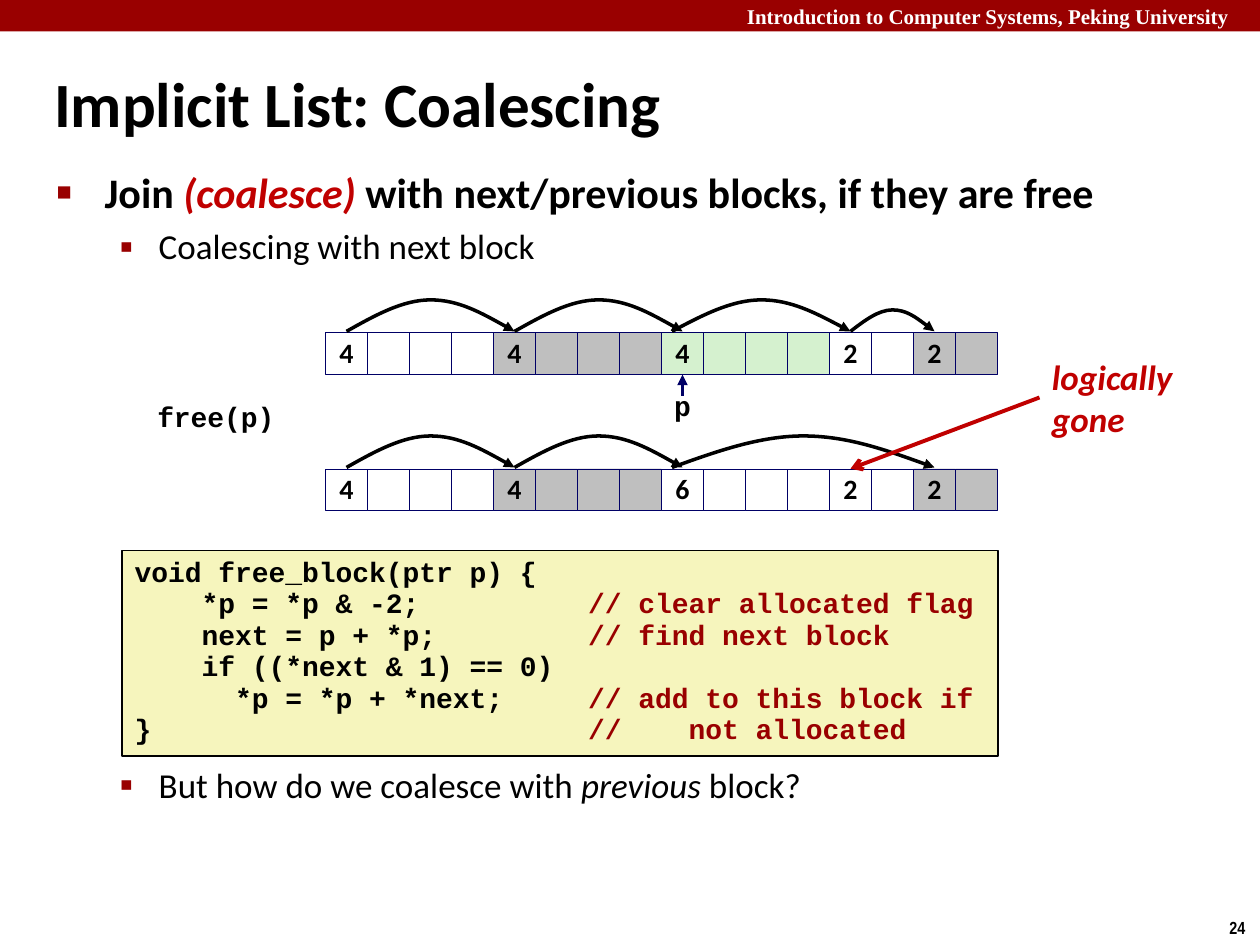
from lxml import etree
from pptx import Presentation
from pptx.dml.color import RGBColor
from pptx.enum.shapes import MSO_CONNECTOR, MSO_SHAPE
from pptx.enum.text import MSO_ANCHOR, MSO_AUTO_SIZE, PP_ALIGN
from pptx.oxml.ns import qn
from pptx.util import Inches, Pt

RECT, LINE = MSO_SHAPE.RECTANGLE, MSO_CONNECTOR.STRAIGHT
TOP, MID = MSO_ANCHOR.TOP, MSO_ANCHOR.MIDDLE
LEFT, CENTER = PP_ALIGN.LEFT, PP_ALIGN.CENTER
SANS, MONO = "Calibri", "Courier New"
RED, DARK, NAVY, BLACK, WHITE = "C00000", "990000", "000066", "000000", "FFFFFF"
GRAY, GREEN, CREAM = "BFBFBF", "D5F1CF", "F6F5BD"

# Content
HEAD = "Introduction to Computer Systems, Peking University"
TITLE = "Implicit List: Coalescing"
# Bullets: runs (text, color, italic), level, size, bold, margin, hang,
# line spacing, space before, mark, mark size in percent
POINTS = [
    ([("Join ", BLACK, False), ("(coalesce) ", RED, True),
      ("with next/previous blocks, if they are free", BLACK, False)],
     0, 24, True, 0.38, 0.38, 0.83, 0, "■", 60),
    ([("Coalescing with next block", BLACK, False)],
     1, 20, False, 0.81, 0.31, 0.88, 7.5, "▪", 110),
    ([("But how do we coalesce with ", BLACK, False), ("previous", BLACK, True),
      (" block?", BLACK, False)],
     1, 20, False, 0.81, 0.31, 0.88, 286.5, "▪", 110),
]
# Heap rows: top, blocks (label, cells, color), arcs (from, to, height) in cells
ROWS = [
    (2.64,
     [("4", 4, WHITE), ("4", 4, GRAY), ("4", 4, GREEN), ("2", 2, WHITE), ("2", 2, GRAY)],
     [(0.5, 4.5, 0.25), (4.5, 8.5, 0.25), (8.25, 12.5, 0.25), (12.5, 14.5, 0.17)]),
    (3.72,
     [("4", 4, WHITE), ("4", 4, GRAY), ("6", 4, WHITE), ("2", 2, WHITE), ("2", 2, GRAY)],
     [(0.5, 4.5, 0.25), (4.5, 8.5, 0.25), (8.25, 14.5, 0.25)]),
]
CODE = [
    ("void free_block(ptr p) {", ""),
    ("    *p = *p & -2;", "// clear allocated flag"),
    ("    next = p + *p;", "// find next block"),
    ("    if ((*next & 1) == 0)", ""),
    ("      *p = *p + *next;", "// add to this block if"),
    ("}", "//    not allocated"),
]
CELL = 1 / 3
GRID = 7.75 * CELL

deck = Presentation()
deck.slide_width, deck.slide_height = Inches(10), Inches(7.5)
page = deck.slides.add_slide(deck.slide_layouts[1])
shapes = page.shapes


def rgb(code):
    return RGBColor.from_string(code)


def place(shape, *box):
    shape.left, shape.top, shape.width, shape.height = map(Inches, box)


def style(font, size, color=BLACK, face=SANS, bold=True, italic=False):
    font.size, font.name, font.bold, font.italic = Pt(size), face, bold, italic
    font.color.rgb = rgb(color)


def write(shape, lines, size, color=BLACK, face=SANS, align=LEFT, anchor=TOP,
          space=None, italic=False):
    frame = shape.text_frame
    frame.word_wrap = False
    frame.vertical_anchor = anchor
    if anchor == MID:
        frame.margin_top = frame.margin_bottom = 0
    frame.text = lines
    for para in frame.paragraphs:
        para.alignment, para.line_spacing = align, space
        style(para.font, size, color, face, italic=italic)


def label(box, *args, **opts):
    shape = shapes.add_textbox(*map(Inches, box))
    write(shape, *args, **opts)
    return shape


def block(box, fill, edge=None, width=0.25):
    shape = shapes.add_shape(RECT, *map(Inches, box))
    shape.shadow.inherit = False
    shape.fill.solid()
    shape.fill.fore_color.rgb = rgb(fill)
    if edge:
        shape.line.color.rgb, shape.line.width = rgb(edge), Pt(width)
    else:
        shape.line.fill.background()
    return shape


def stroke(shape, color, width, head):
    shape.line.color.rgb, shape.line.width = rgb(color), Pt(width)
    etree.SubElement(shape.line._get_or_add_ln(), qn("a:tailEnd"), type=head)


def arrow(ends, color, width, head):
    shape = shapes.add_connector(LINE, *map(Inches, ends))
    stroke(shape, color, width, head)
    etree.SubElement(shape._element.spPr, qn("a:effectLst"))
    return shape


def arc(start, end, base, rise):
    """Draw two Bezier curves that meet at the crest."""
    x, step = GRID + start * CELL, (end - start) * CELL / 6
    pts = [(Inches(x + i * step), Inches(base - rise * lift))
           for i, lift in enumerate((0, 0.5, 1, 1, 1, 0.5, 0))]
    pen = shapes.build_freeform(*pts[0])
    pen.add_line_segments(pts[1:], close=False)
    shape = pen.convert_to_shape()
    shape.shadow.inherit = False
    shape.fill.background()
    stroke(shape, BLACK, 2, "triangle")
    track = next(shape._element.iter(qn("a:path")))
    legs = track.findall(qn("a:lnTo"))
    for i in (0, 3):
        curve = etree.SubElement(track, qn("a:cubicBezTo"))
        for leg in legs[i:i + 3]:
            curve.append(leg[0])
            track.remove(leg)


def bullet(para, mark, size, margin, hang):
    props = para._p.get_or_add_pPr()
    props.set("marL", str(Inches(margin)))
    props.set("indent", str(-Inches(hang)))
    tint = etree.SubElement(props, qn("a:buClr"))
    etree.SubElement(tint, qn("a:srgbClr"), val=DARK)
    etree.SubElement(props, qn("a:buSzPct"), val=str(size * 1000))
    etree.SubElement(props, qn("a:buChar"), char=mark)


# Header band and page number
block((0, 0, 10, 0.25), DARK)
label((5.83, 0, 4.17, 0.25), HEAD, 12, WHITE, "Times New Roman", anchor=MID)
label((9.66, 7.23, 0.34, 0.27), "24", 10, face="Arial Narrow")

# Title and bullets
title, body = shapes.title, page.placeholders[1]
place(title, 0.33, 0.5, 7.4, 0.63)
write(title, TITLE, 36, anchor=MID)
place(body, 0.35, 1.34, 9.09, 6)
frame = body.text_frame
for shape in (title, body):
    shape.text_frame.auto_size = MSO_AUTO_SIZE.NONE
for i, (runs, level, size, bold, margin, hang, space, before, mark, pct) in enumerate(POINTS):
    para = frame.add_paragraph() if i else frame.paragraphs[0]
    para.level, para.line_spacing, para.space_before = level, space, Pt(before)
    bullet(para, mark, pct, margin, hang)
    for text, color, italic in runs:
        run = para.add_run()
        run.text = text
        style(run.font, size, color, bold=bold, italic=italic)

# Code panel, with comments on a tab stop
panel = block((0.97, 4.37, 6.95, 1.63), CREAM, BLACK, 1)
write(panel, "", 16, face=MONO, space=0.94)
panel.text_frame.word_wrap = True
para = panel.text_frame.paragraphs[0]
tabs = etree.SubElement(para._p.get_or_add_pPr(), qn("a:tabLst"))
para._p.pPr.insert_element_before(tabs, "a:defRPr", "a:extLst")
etree.SubElement(tabs, qn("a:tab"), pos=str(Inches(3.6)), algn="l")
for i, (code, note) in enumerate(CODE):
    if i:
        para.add_line_break()
    for text, color in ((code, BLACK), (note and "\t" + note, DARK)):
        if text:
            run = para.add_run()
            run.text = text
            style(run.font, 16, color, MONO)

# Heap rows
heap = []
for top, blocks, arcs in ROWS:
    cells = []
    for text, count, fill in blocks:
        for i in range(count):
            cell = block((GRID + len(cells) * CELL, top, CELL, CELL), fill, NAVY)
            if i == 0:
                write(cell, text, 16, align=CENTER, anchor=MID, space=0.98)
            cells.append(cell)
    heap.append(cells)
    for start, end, rise in arcs:
        arc(start, end, top - 0.01, rise)

# Call, pointer and callout
label((1.15, 3.14, 1.14, 0.36), "free(p)", 16, face=MONO, space=0.94)
label((5.25, 3.06, CELL, 0.36), "p", 16, face=MONO, align=CENTER, space=0.94)
mid = GRID + 8.5 * CELL
arrow((mid, 3.14, mid, 2.97), NAVY, 2, "triangle").end_connect(heap[0][8], 2)
gone = label((8.25, 2.77, 1.16, 0.77), "logically\ngone", 20, RED, italic=True)
link = arrow((8.25, 3.16, 6.75, 3.72), RED, 2.25, "arrow")
link.begin_connect(gone, 1)
link.end_connect(heap[1][12], 0)

deck.save("out.pptx")
